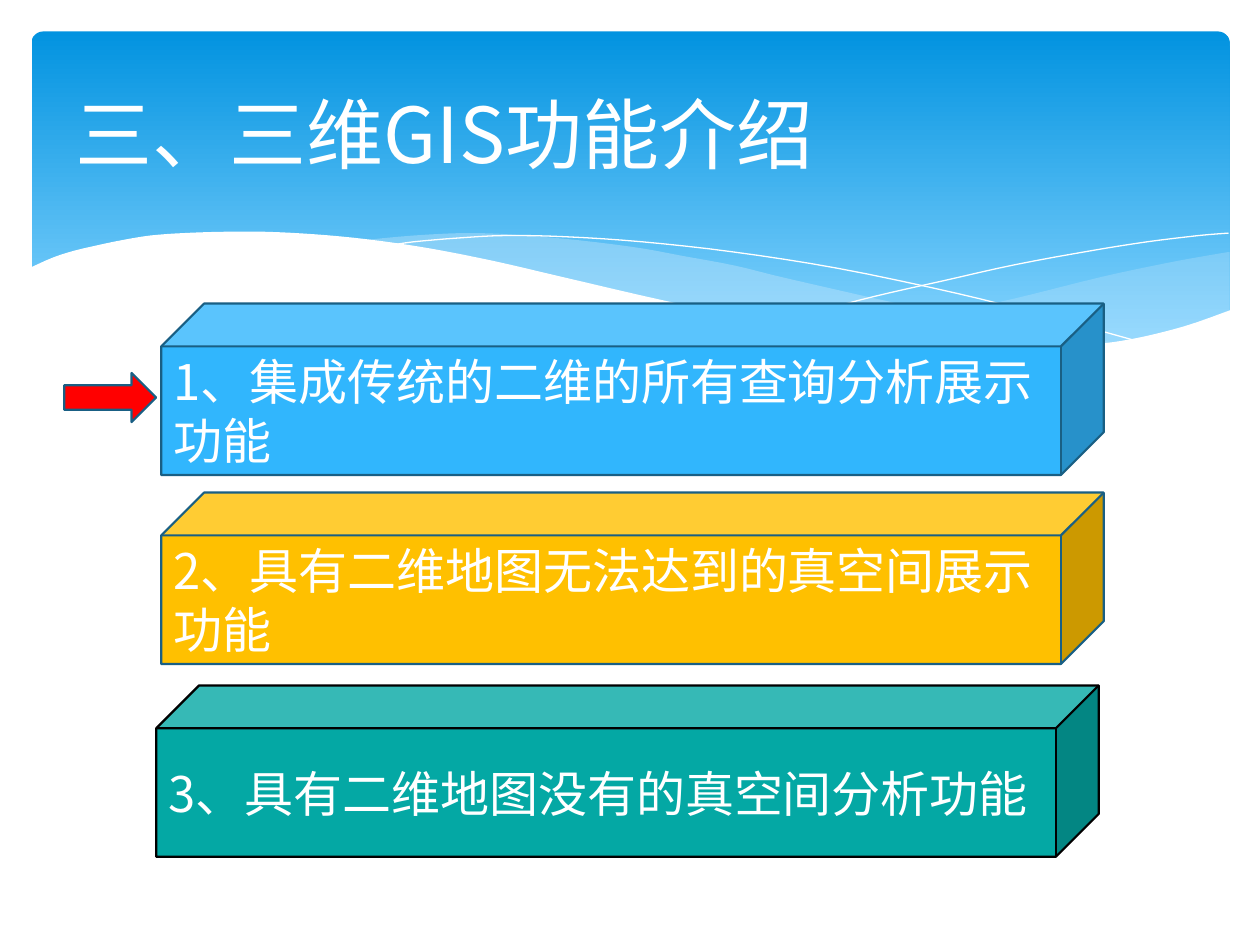
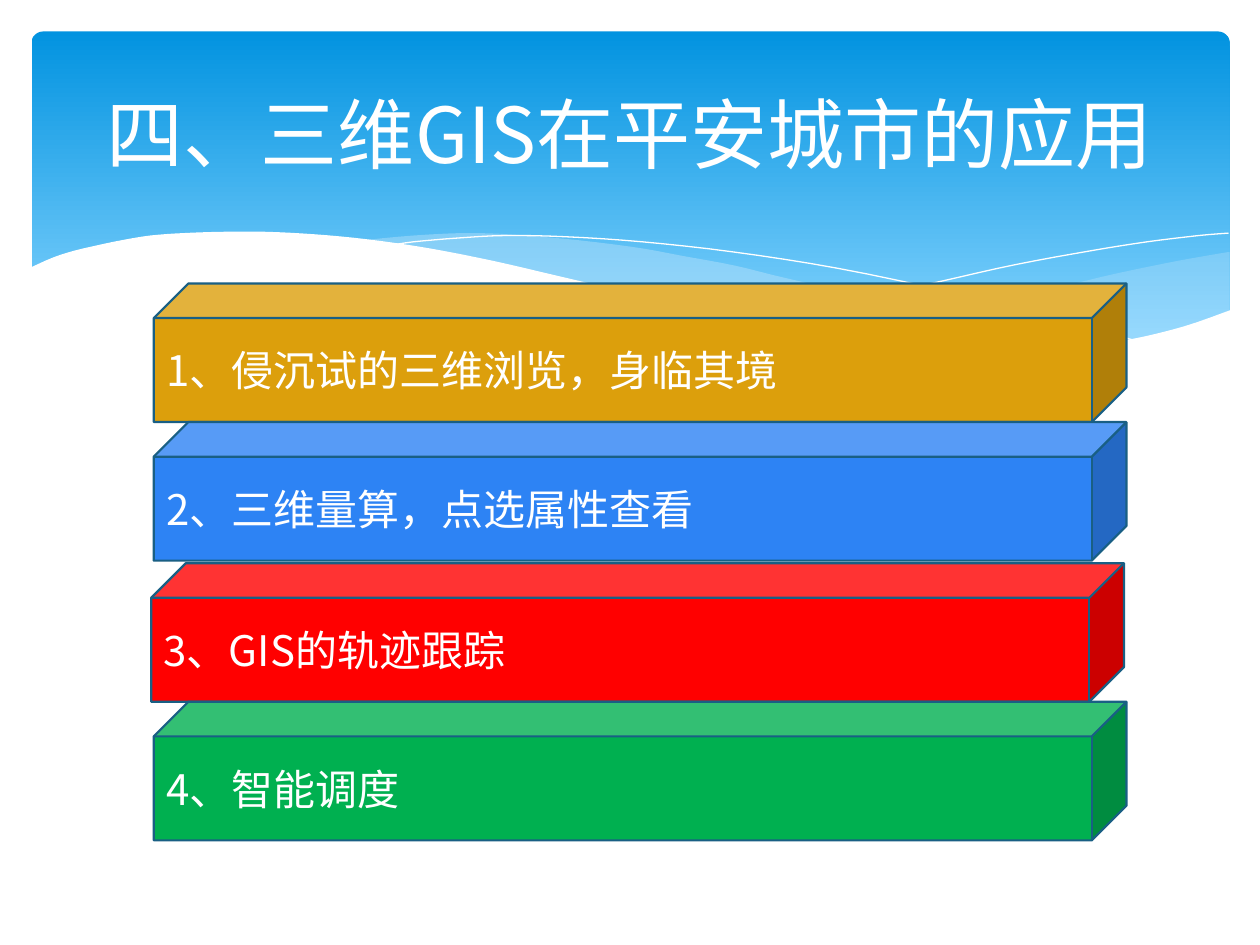
from dataclasses import dataclass
from lxml import etree
from pptx import Presentation
from pptx.dml.color import RGBColor
from pptx.enum.shapes import MSO_SHAPE
from pptx.enum.text import MSO_ANCHOR, PP_ALIGN
from pptx.oxml.ns import qn
from pptx.util import Pt

PX = 9144
ROUNDED = MSO_SHAPE.ROUNDED_RECTANGLE
CUBE = MSO_SHAPE.CUBE
RIGHT_ARROW = MSO_SHAPE.RIGHT_ARROW
MIDDLE = MSO_ANCHOR.MIDDLE
LEFT = PP_ALIGN.LEFT
CENTER = PP_ALIGN.CENTER


@dataclass(frozen=True)
class Theme:
    font: str = "Noto Sans CJK SC"
    title_size: int = 44
    large_size: int = 28
    medium_size: int = 24
    white: str = "FFFFFF"
    black: str = "000000"
    sky_top: str = "0293E0"
    sky_bottom: str = "83D3FE"
    swell: str = "C6E7FC"
    outline: str = "195F84"
    blue: str = "31B6FD"
    amber: str = "FFC000"
    teal: str = "04A8A4"
    red: str = "FF0000"
    ochre: str = "DC9F0C"
    royal: str = "2D83F4"
    green: str = "00B050"


THEME = Theme()
BAND_BOX = (25, 25, 951, 270)
TITLE_BOX = (50, 37, 900, 137)

RIGHT_SWELL_TOP = [(950, 175), (910, 182), (866, 191), (836, 198), (780, 212),
                   (728, 223), (681, 232), (636, 240)]
RIGHT_SWELL_BOTTOM = [(636, 240), (680, 246), (720, 250), (767, 252), (810, 252),
                      (856, 248), (896, 240), (924, 232), (951, 222)]
LEFT_SWELL_TOP = [(868, 248), (812, 240), (716, 222), (604, 197), (559, 186),
                  (516, 178), (477, 171), (417, 164), (355, 160), (303, 162),
                  (261, 166)]
LEFT_SWELL_BOTTOM = [(261, 166), (317, 174), (379, 186), (424, 197), (505, 215),
                     (576, 230), (640, 241), (697, 249), (748, 252), (803, 253),
                     (851, 250), (868, 248)]
FALLING_LINE = [(284, 170), (303, 167), (338, 164), (376, 162), (425, 163),
                (485, 167), (557, 175), (640, 188), (735, 208), (806, 226),
                (882, 247)]
RISING_LINE = [(588, 232), (628, 221), (670, 210), (723, 198), (781, 185),
               (841, 174), (885, 167), (926, 162), (950, 160)]
SHORE = [(952, 221), (915, 234), (874, 244), (838, 249), (798, 252), (753, 251),
         (701, 247), (643, 240), (578, 229), (504, 214), (422, 195), (366, 182),
         (315, 172), (267, 165), (225, 161), (186, 159), (152, 159), (121, 160),
         (94, 162), (70, 166), (51, 170), (34, 174), (21, 178), (11, 182),
         (-2, 188)]
SHORE_CORNERS = [(-2, 304), (952, 304)]


def emu(*lengths):
    return [round(length * PX) for length in lengths]


def rgb(color):
    return RGBColor.from_string(color)


def paint(shape, fill=None, line=None, width=0, alpha=None):
    shape.shadow.inherit = False
    if fill:
        shape.fill.solid()
        shape.fill.fore_color.rgb = rgb(fill)
        if alpha:
            color = shape._element.spPr.find(qn("a:solidFill"))[0]
            etree.SubElement(color, qn("a:alpha"), val=str(alpha * 1000))
    else:
        shape.fill.background()
    if line:
        shape.line.color.rgb = rgb(line)
        shape.line.width = Pt(width)
    else:
        shape.line.fill.background()


def write(shape, text, size, color=THEME.white, align=LEFT):
    frame = shape.text_frame
    frame.word_wrap = True
    frame.vertical_anchor = MIDDLE
    paragraph = frame.paragraphs[0]
    paragraph.alignment = align
    run = paragraph.add_run()
    run.text = text
    run.font.size = Pt(size)
    run.font.color.rgb = rgb(color)
    run.font.name = THEME.font
    etree.SubElement(run.font._element, qn("a:ea"), typeface=THEME.font)


def smooth(knots, steps=4):
    padded = [knots[0], *knots, knots[-1]]
    points = []
    for before, start, end, after in zip(padded, padded[1:], padded[2:], padded[3:]):
        for step in range(steps):
            t = step / steps
            points.append(tuple(
                (2 * b + (c - a) * t + (2 * a - 5 * b + 4 * c - d) * t ** 2
                 + (3 * b - a - 3 * c + d) * t ** 3) / 2
                for a, b, c, d in zip(before, start, end, after)))
    return points + [knots[-1]]


def add_wave(slide, box, points, closed=True, **look):
    outline = [emu(*point) for point in points]
    builder = slide.shapes.build_freeform(*outline[0])
    builder.add_line_segments(outline[1:], close=closed)
    paint(builder.convert_to_shape(*emu(*box[:2])), **look)


def add_band(slide, box):
    sky = slide.shapes.add_shape(ROUNDED, *emu(*box))
    sky.adjustments[0] = 0.034
    paint(sky)
    sky.fill.gradient()
    sky.fill.gradient_angle = 270
    stops = ((0, THEME.sky_top), (0.9, THEME.sky_bottom))
    for stop, (position, color) in zip(sky.fill.gradient_stops, stops):
        stop.position = position
        stop.color.rgb = rgb(color)

    right_swell = smooth(RIGHT_SWELL_TOP) + smooth(RIGHT_SWELL_BOTTOM) + [(951, 175)]
    left_swell = smooth(LEFT_SWELL_TOP) + smooth(LEFT_SWELL_BOTTOM)
    add_wave(slide, box, right_swell, fill=THEME.swell, alpha=29)
    add_wave(slide, box, left_swell, fill=THEME.swell, alpha=40)
    for knots in (FALLING_LINE, RISING_LINE):
        add_wave(slide, box, smooth(knots), closed=False, line=THEME.white)
    add_wave(slide, box, smooth(SHORE) + SHORE_CORNERS, fill=THEME.white)


def add_title(slide, box, text, align):
    write(slide.shapes.add_textbox(*emu(*box)), text, THEME.title_size, align=align)


def add_cubes(slide, box, pitch, size, cubes):
    left, top, width, height = box
    for index, (text, fill, line, shift, drop) in enumerate(cubes):
        cube = slide.shapes.add_shape(
            CUBE, *emu(left + shift, top + index * pitch + drop, width, height))
        paint(cube, fill=fill, line=line, width=1.25)
        write(cube, text, size)


def add_pointer(slide, box):
    pointer = slide.shapes.add_shape(RIGHT_ARROW, *emu(*box))
    paint(pointer, fill=THEME.red, line=THEME.outline, width=1.25)


def add_slide(presentation, title, align=LEFT):
    slide = presentation.slides.add_slide(presentation.slide_layouts[6])
    add_band(slide, BAND_BOX)
    add_title(slide, TITLE_BOX, title, align)
    return slide


def build_features(presentation):
    slide = add_slide(presentation, "三、三维GIS功能介绍")
    add_cubes(slide, (128, 241, 748, 136), 150, THEME.large_size, [
        ("1、集成传统的二维的所有查询分析展示功能", THEME.blue, THEME.outline, 0, 0),
        ("2、具有二维地图无法达到的真空间展示功能", THEME.amber, THEME.outline, 0, 0),
        ("3、具有二维地图没有的真空间分析功能", THEME.teal, THEME.black, -4, 3),
    ])
    add_pointer(slide, (51, 296, 73, 39))


def build_applications(presentation):
    slide = add_slide(presentation, "四、三维GIS在平安城市的应用", CENTER)
    add_cubes(slide, (122, 225, 772, 110), 110, THEME.medium_size, [
        ("1、侵沉试的三维浏览，身临其境", THEME.ochre, THEME.outline, 0, 0),
        ("2、三维量算，点选属性查看", THEME.royal, THEME.outline, 0, 0),
        ("3、GIS的轨迹跟踪", THEME.red, THEME.outline, -2, 2),
        ("4、智能调度", THEME.green, THEME.outline, 0, 2),
    ])


def main():
    presentation = Presentation()
    presentation.slide_width, presentation.slide_height = emu(1000, 750)
    build_features(presentation)
    build_applications(presentation)
    presentation.save("out.pptx")


if __name__ == "__main__":
    main()
